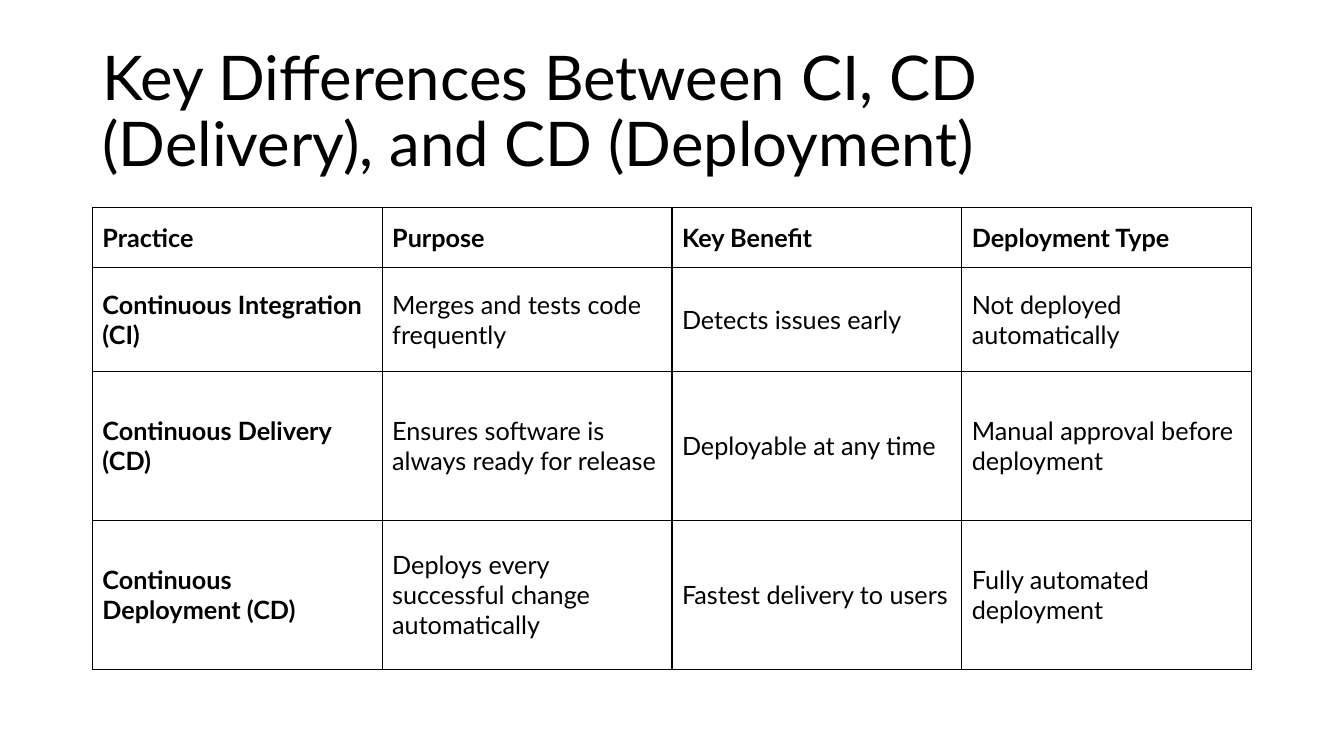
from dataclasses import dataclass

from lxml.etree import SubElement
from pptx import Presentation
from pptx.dml.color import RGBColor
from pptx.enum.text import MSO_ANCHOR
from pptx.oxml.ns import qn
from pptx.util import Pt


@dataclass(frozen=True)
class Theme:
    font: str = "Lato"
    ink: str = "000000"
    title_size: int = 44
    table_size: int = 18
    border_width: int = 1


theme = Theme()

LEFT, WIDTH = 66, 828
ROW_HEIGHTS = [42.7, 74.3, 106.4, 106.4]
ROWS = [
    ["Practice", "Purpose", "Key Benefit", "Deployment Type"],
    ["Continuous Integration (CI)", "Merges and tests code frequently",
     "Detects issues early", "Not deployed automatically"],
    ["Continuous Delivery (CD)", "Ensures software is always ready for release",
     "Deployable at any time", "Manual approval before deployment"],
    ["Continuous Deployment (CD)", "Deploys every successful change automatically",
     "Fastest delivery to users", "Fully automated deployment"],
]


def style_text(text_frame, size, bold=False):
    for run in text_frame.paragraphs[0].runs:
        run.font.name = theme.font
        run.font.size = Pt(size)
        run.font.bold = bold
        run.font.color.rgb = RGBColor.from_string(theme.ink)


def add_borders(cell):
    """Outline all four sides; call before setting the fill, which must follow."""
    properties = cell._tc.get_or_add_tcPr()
    for side in ("lnL", "lnR", "lnT", "lnB"):
        line = SubElement(properties, qn(f"a:{side}"), w=str(Pt(theme.border_width)))
        fill = SubElement(line, qn("a:solidFill"))
        SubElement(fill, qn("a:srgbClr"), val=theme.ink)


presentation = Presentation()
presentation.slide_width = Pt(960)
presentation.slide_height = Pt(540)
slide = presentation.slides.add_slide(presentation.slide_layouts[6])

# Title
title = slide.shapes.add_textbox(Pt(LEFT), Pt(28.75), Pt(WIDTH), Pt(104.4))
title_frame = title.text_frame
title_frame.word_wrap = True
title_frame.vertical_anchor = MSO_ANCHOR.MIDDLE
title_frame.text = "Key Differences Between CI, CD (Delivery), and CD (Deployment)"
title_frame.paragraphs[0].line_spacing = 0.9
style_text(title_frame, theme.title_size)

# Comparison table
table = slide.shapes.add_table(
    len(ROWS), len(ROWS[0]), Pt(LEFT), Pt(148.3), Pt(WIDTH), Pt(sum(ROW_HEIGHTS))
).table
table.horz_banding = False
for column in table.columns:
    column.width = Pt(WIDTH / len(ROWS[0]))

for row_index, (height, texts) in enumerate(zip(ROW_HEIGHTS, ROWS)):
    table.rows[row_index].height = Pt(height)
    for column_index, text in enumerate(texts):
        cell = table.cell(row_index, column_index)
        cell.text_frame.text = text
        cell.vertical_anchor = MSO_ANCHOR.MIDDLE
        style_text(cell.text_frame, theme.table_size,
                   bold=row_index == 0 or column_index == 0)
        add_borders(cell)
        cell.fill.background()

presentation.save("out.pptx")
